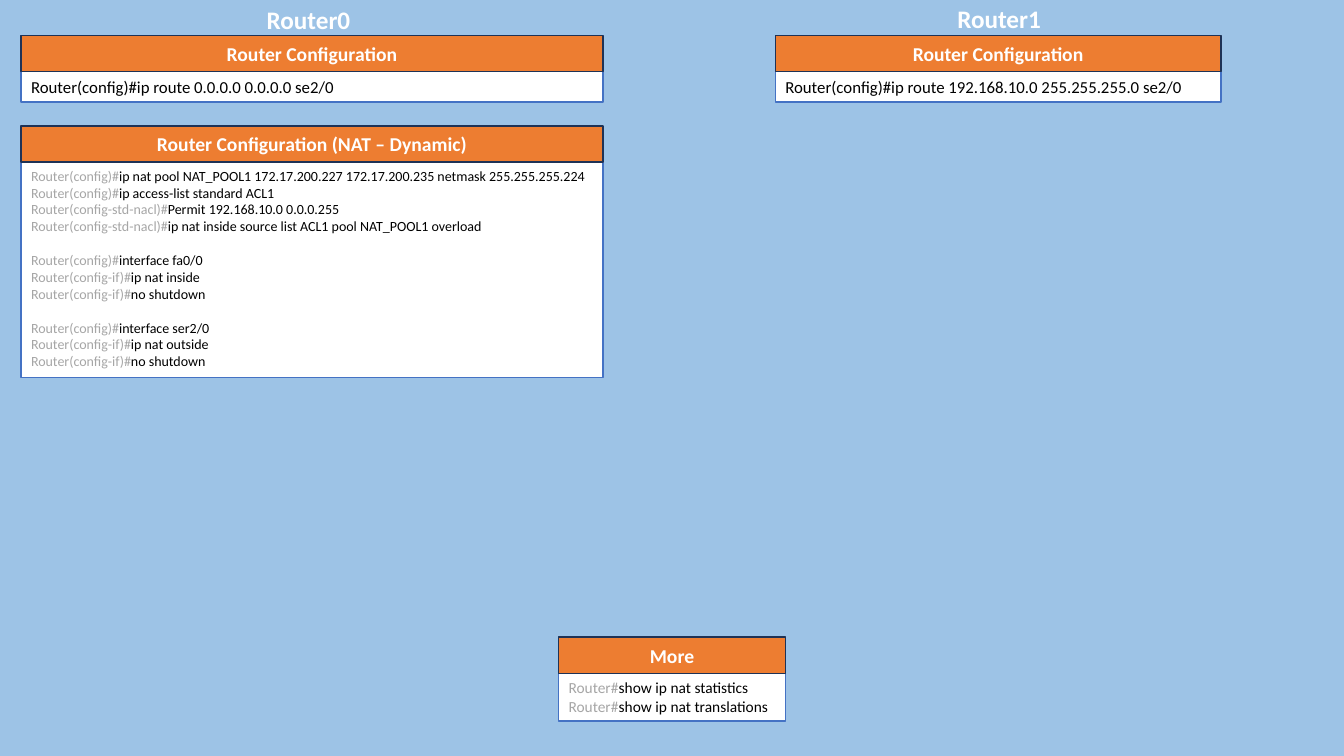
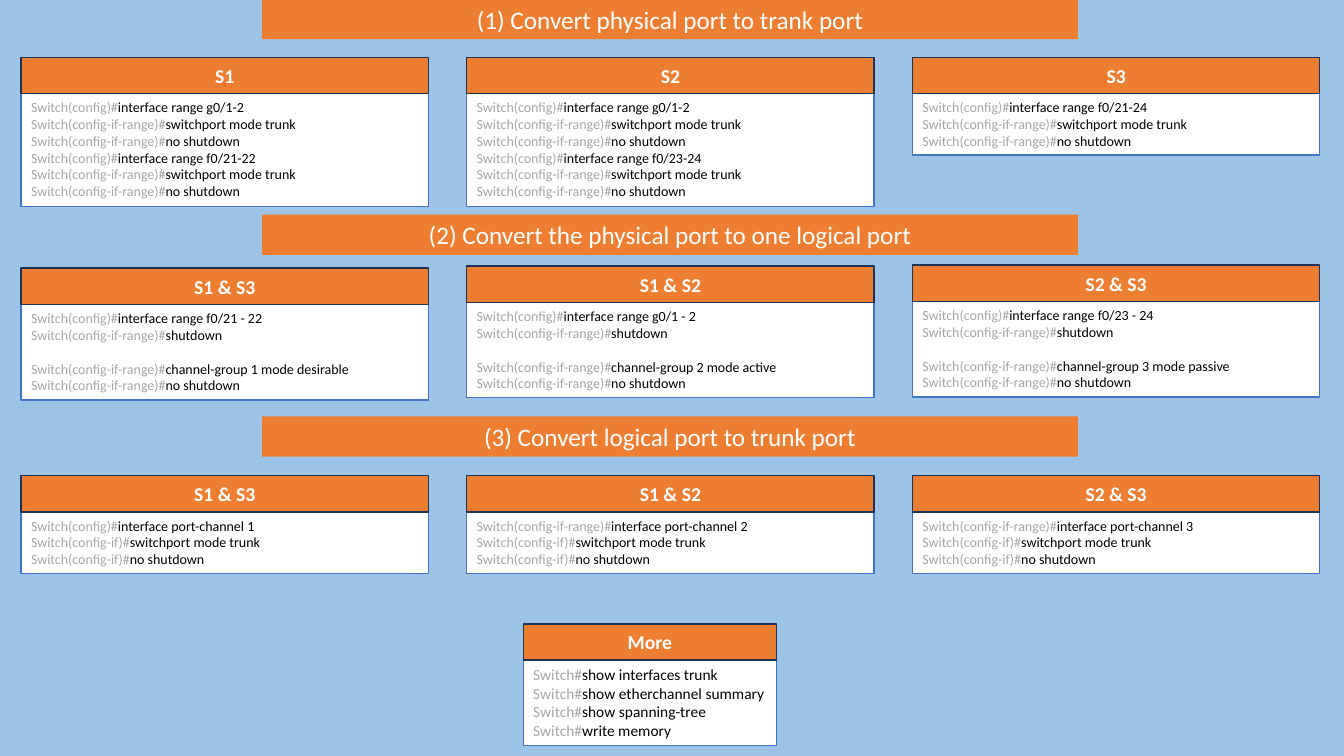
from pptx import Presentation
from pptx.dml.color import RGBColor
from pptx.enum import shapes, text
from pptx.util import Inches, Pt

COLORS = {
    "background": "9DC3E6", "accent": "ED7D31", "head_line": "1E3256",
    "body_line": "4472C4", "white": "FFFFFF", "black": "000000", "prompt": "A6A6A6",
}
FONT = "Calibri"
LINE = 1.22         # line height as a multiple of the font size
HEAD_H = 0.36
TITLE_H = 0.4
LEFT = 0.21
COL_W, COL_STEP = 4.04, 4.42
BAND_X, BAND_W = 2.6, 8.09

# Content: each card body is a list of blocks, each block a list of commands
ROUTER_TITLES = [("Router0", 3.06, -0.01), ("Router1", 9.91, -0.02)]
ROUTER_ROUTES = [  # left, width, command
    (LEFT, 5.77, "Router(config)#ip route 0.0.0.0 0.0.0.0 se2/0"),
    (7.69, 4.42, "Router(config)#ip route 192.168.10.0 255.255.255.0 se2/0"),
]
NAT = [
    ["Router(config)#ip nat pool NAT_POOL1 172.17.200.227 172.17.200.235 netmask 255.255.255.224",
     "Router(config)#ip access-list standard ACL1",
     "Router(config-std-nacl)#Permit 192.168.10.0 0.0.0.255",
     "Router(config-std-nacl)#ip nat inside source list ACL1 pool NAT_POOL1 overload"],
    ["Router(config)#interface fa0/0",
     "Router(config-if)#ip nat inside",
     "Router(config-if)#no shutdown"],
    ["Router(config)#interface ser2/0",
     "Router(config-if)#ip nat outside",
     "Router(config-if)#no shutdown"],
]
ROUTER_MORE = [["Router#show ip nat statistics", "Router#show ip nat translations"]]
SWITCH_MORE = [["Switch#show interfaces trunk", "Switch#show etherchannel summary",
                "Switch#show spanning-tree", "Switch#write memory"]]


def trunk(interface, mode="config-if-range", first="config"):
    return [f"Switch({first})#interface {interface}",
            f"Switch({mode})#switchport mode trunk",
            f"Switch({mode})#no shutdown"]


def channel(ports, group, mode):
    return [[f"Switch(config)#interface range {ports}",
             "Switch(config-if-range)#shutdown"],
            [f"Switch(config-if-range)#channel-group {group} mode {mode}",
             "Switch(config-if-range)#no shutdown"]]


SWITCH_STEPS = [  # band title, band top, cards (title, top, blocks)
    ("(1) Convert physical port to trank port", -0.01, [
        ("S1", 0.57, [trunk("range g0/1-2") + trunk("range f0/21-22")]),
        ("S2", 0.57, [trunk("range g0/1-2") + trunk("range f0/23-24")]),
        ("S3", 0.57, [trunk("range f0/21-24")]),
    ]),
    ("(2) Convert the physical port to one logical port", 2.13, [
        ("S1 & S3", 2.66, channel("f0/21 - 22", 1, "desirable")),
        ("S1 & S2", 2.64, channel("g0/1 - 2", 2, "active")),
        ("S2 & S3", 2.63, channel("f0/23 - 24", 3, "passive")),
    ]),
    ("(3) Convert logical port to trunk port", 4.13, [
        ("S1 & S3", 4.72, [trunk("port-channel 1", "config-if")]),
        ("S1 & S2", 4.72, [trunk("port-channel 2", "config-if", "config-if-range")]),
        ("S2 & S3", 4.72, [trunk("port-channel 3", "config-if", "config-if-range")]),
    ]),
]


def rgb(name):
    return RGBColor.from_string(COLORS[name])


def style(r, size, color, bold=False):
    r.font.name, r.font.size, r.font.bold = FONT, Pt(size), bold
    r.font.color.rgb = rgb(color)


def add_rect(s, x, y, w, h, fill, line=None):
    sp = s.shapes.add_shape(shapes.MSO_SHAPE.RECTANGLE,
                            Inches(x), Inches(y), Inches(w), Inches(h))
    sp.shadow.inherit = False
    sp.fill.solid()
    sp.fill.fore_color.rgb = rgb(fill)
    if line:
        sp.line.color.rgb = rgb(line)
        sp.line.width = Pt(1)
    else:
        sp.line.fill.background()
    return sp


def set_title(sp, title, size, bold):
    tf = sp.text_frame
    tf.text = title
    tf.vertical_anchor = text.MSO_ANCHOR.MIDDLE
    p = tf.paragraphs[0]
    p.alignment = text.PP_ALIGN.CENTER
    style(p.runs[0], size, "white", bold)


def add_card(s, x, y, w, title, blocks, size=10, prompt_color="prompt"):
    # Blocks are set apart by one line height
    rows = sum(map(len, blocks)) + len(blocks) - 1
    body = add_rect(s, x, y + HEAD_H, w, rows * size * LINE / 72 + 0.1,
                    "white", "body_line")
    tf = body.text_frame
    tf.word_wrap = True
    tf.vertical_anchor = text.MSO_ANCHOR.TOP
    commands = [(cmd, b > 0 and i == 0)
                for b, block in enumerate(blocks) for i, cmd in enumerate(block)]
    for n, (cmd, starts_block) in enumerate(commands):
        p = tf.add_paragraph() if n else tf.paragraphs[0]
        p.alignment = text.PP_ALIGN.LEFT
        if starts_block:
            p.space_before = Pt(size * LINE)
        prompt, _, rest = cmd.partition("#")
        for part, color in ((prompt + "#", prompt_color), (rest, "black")):
            r = p.add_run()
            r.text = part
            style(r, size, color)
    head = add_rect(s, x, y, w, HEAD_H, "accent", "head_line")
    set_title(head, title, 14, True)


def build_routers(s):
    for name, center, top in ROUTER_TITLES:
        w = 1.1
        box = s.shapes.add_textbox(Inches(center - w / 2), Inches(top),
                                   Inches(w), Inches(TITLE_H))
        set_title(box, name, 18, True)
    for x, w, cmd in ROUTER_ROUTES:
        add_card(s, x, 0.35, w, "Router Configuration", [[cmd]], 12, "black")
    add_card(s, LEFT, 1.25, 5.77, "Router Configuration (NAT – Dynamic)", NAT)
    add_card(s, 5.54, 6.32, 2.25, "More", ROUTER_MORE, 11)


def build_switches(s):
    for band, band_top, cards in SWITCH_STEPS:
        for col, (title, top, blocks) in enumerate(cards):
            add_card(s, LEFT + col * COL_STEP, top, COL_W, title, blocks)
        set_title(add_rect(s, BAND_X, band_top, BAND_W, TITLE_H, "accent"), band, 18, False)
    add_card(s, 5.19, 6.19, 2.51, "More", SWITCH_MORE, 11)


def main():
    prs = Presentation()
    prs.slide_width, prs.slide_height = Inches(13.33), Inches(7.5)
    fill = prs.slide_master.background.fill
    fill.solid()
    fill.fore_color.rgb = rgb("background")
    for build in (build_routers, build_switches):
        build(prs.slides.add_slide(prs.slide_layouts[6]))
    prs.save("out.pptx")


if __name__ == "__main__":
    main()
